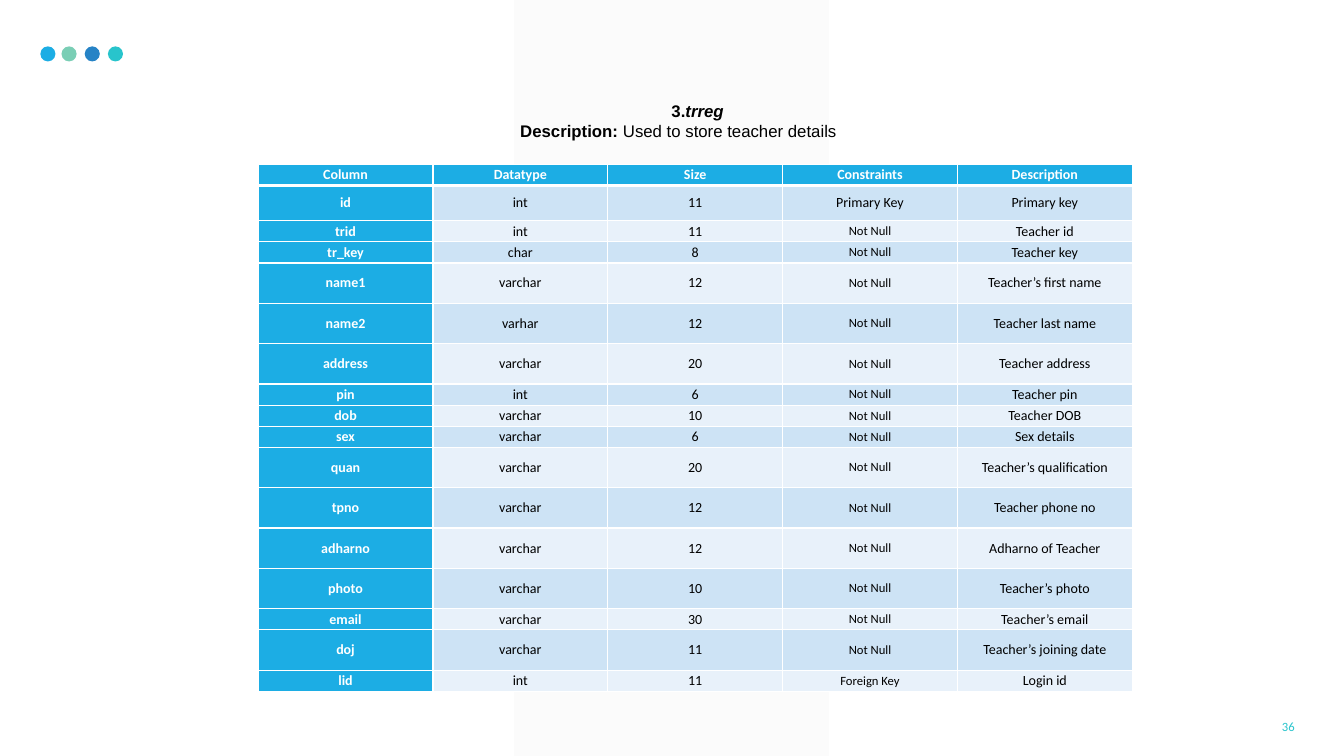
from lxml.etree import SubElement
from pptx import Presentation
from pptx.dml.color import RGBColor
from pptx.enum.shapes import MSO_SHAPE
from pptx.enum.text import MSO_ANCHOR, MSO_AUTO_SIZE, PP_ALIGN
from pptx.oxml.ns import qn
from pptx.util import Inches, Pt

BLUE, TEAL, WHITE, BLACK = "1CADE4", "28C4CC", "FFFFFF", "000000"
BANDS = ("CDE3F5", "E8F1FA")
DOTS = [(0.4, BLUE, 100), (0.61, "42BA97", 70), (0.84, "2683C6", 100), (1.07, TEAL, 100)]
SHORT, MEDIUM, TALL = 0.21, 0.35, 0.4
HEADER = ("Column", "Datatype", "Size", "Constraints", "Description")
FIELDS = [
    (MEDIUM, "id", "int", "11", "Primary Key", "Primary key"),
    (SHORT, "trid", "int", "11", "Not Null", "Teacher id"),
    (SHORT, "tr_key", "char", "8", "Not Null", "Teacher key"),
    (TALL, "name1", "varchar", "12", "Not Null", "Teacher’s first name"),
    (TALL, "name2", "varhar", "12", "Not Null", "Teacher last name"),
    (TALL, "address", "varchar", "20", "Not Null", "Teacher address"),
    (SHORT, "pin", "int", "6", "Not Null", "Teacher pin"),
    (SHORT, "dob", "varchar", "10", "Not Null", "Teacher DOB"),
    (SHORT, "sex", "varchar", "6", "Not Null", "Sex details"),
    (TALL, "quan", "varchar", "20", "Not Null", "Teacher’s qualification"),
    (TALL, "tpno", "varchar", "12", "Not Null", "Teacher phone no"),
    (TALL, "adharno", "varchar", "12", "Not Null", "Adharno of Teacher"),
    (TALL, "photo", "varchar", "10", "Not Null", "Teacher’s photo"),
    (SHORT, "email", "varchar", "30", "Not Null", "Teacher’s email"),
    (TALL, "doj", "varchar", "11", "Not Null", "Teacher’s joining date"),
    (SHORT, "lid", "int", "11", "Foreign Key", "Login id"),
]


def rgb(color):
    return RGBColor.from_string(color)


def box(left, top, width, height):
    return [Inches(length) for length in (left, top, width, height)]


def set_font(font, name, size, color, bold=False):
    font.name, font.size, font.bold = name, Pt(size), bold
    font.color.rgb = rgb(color)


def add_filled_shape(shapes, preset, position, color, opacity=100):
    shape = shapes.add_shape(preset, *box(*position))
    shape.shadow.inherit = False
    shape.line.fill.background()
    shape.fill.solid()
    shape.fill.fore_color.rgb = rgb(color)
    if opacity < 100:
        srgb = shape.element.spPr.find(".//" + qn("a:srgbClr"))
        SubElement(srgb, qn("a:alpha"), val=str(opacity * 1000))
    return shape


def add_background_band(slide):
    band = add_filled_shape(slide.shapes, MSO_SHAPE.RECTANGLE, (5.1, 0, 3.12, 7.5), "F2F2F2", 30)
    slide.shapes.element.insert(2, band.element)  # behind the title


def add_dots(slide):
    dots = slide.shapes.add_group_shape()
    for left, color, opacity in DOTS:
        add_filled_shape(dots.shapes, MSO_SHAPE.OVAL, (left, 0.46, 0.15, 0.15), color, opacity)


def add_page_number(slide, number):
    frame = slide.shapes.add_textbox(*box(9.94, 7.07, 3, 0.27)).text_frame
    frame.word_wrap = True
    frame.vertical_anchor = MSO_ANCHOR.MIDDLE
    paragraph = frame.paragraphs[0]
    paragraph.text = number
    paragraph.alignment = PP_ALIGN.RIGHT
    set_font(paragraph.font, "Calibri", 9, TEAL)


def fill_title(title):
    title.left, title.top, title.width, title.height = box(4.56, 0.95, 8.77, 0.51)
    frame = title.text_frame
    frame.auto_size = MSO_AUTO_SIZE.NONE
    frame.word_wrap = True
    frame.vertical_anchor = MSO_ANCHOR.TOP
    lines = [
        (2, [("3.", True, False), ("trreg", True, True)]),
        (0.5, [("Description: ", True, False), ("Used to store teacher details", False, False)]),
    ]
    for index, (indent, runs) in enumerate(lines):
        paragraph = frame.add_paragraph() if index else frame.paragraphs[0]
        paragraph.alignment = PP_ALIGN.LEFT
        properties = paragraph._p.get_or_add_pPr()
        properties.set("marL", "0")
        properties.set("indent", str(Inches(indent)))
        for text, bold, italic in runs:
            run = paragraph.add_run()
            run.text = text
            set_font(run.font, "Arial", 12, BLACK, bold)
            run.font.italic = italic


def set_borders(cell, top, bottom):
    properties = cell._tc.get_or_add_tcPr()
    for side, width in (("L", 1), ("R", 1), ("T", top), ("B", bottom)):
        line = SubElement(properties, qn(f"a:ln{side}"), w=str(Pt(width)))
        fill = SubElement(line, qn("a:solidFill"))
        SubElement(fill, qn("a:srgbClr"), val=WHITE)


def fill_cell(cell, text, row, column):
    heading = row == 0 or column == 0
    set_borders(cell, top=3 if row == 1 else 1, bottom=3 if row == 0 else 1)
    cell.fill.solid()
    cell.fill.fore_color.rgb = rgb(BLUE if heading else BANDS[(row - 1) % 2])
    cell.margin_left = cell.margin_right = Inches(0.06)
    cell.margin_top = cell.margin_bottom = 0
    cell.vertical_anchor = MSO_ANCHOR.MIDDLE
    paragraph = cell.text_frame.paragraphs[0]
    paragraph.text = text
    paragraph.alignment = PP_ALIGN.CENTER
    size = 9 if column == 3 and row > 1 else 10
    set_font(paragraph.font, "Calibri", size, WHITE if heading else BLACK, heading)


def add_field_table(slide):
    rows = [(SHORT, *HEADER), *FIELDS]
    position = box(2.56, 1.63, 8.67, sum(row[0] for row in rows))
    table = slide.shapes.add_table(len(rows), len(HEADER), *position).table
    table.horz_banding = False
    table.first_col = True
    for row, (height, *texts) in enumerate(rows):
        table.rows[row].height = Inches(height)
        for column, text in enumerate(texts):
            fill_cell(table.cell(row, column), text, row, column)


def main():
    presentation = Presentation()
    presentation.slide_width, presentation.slide_height = Inches(13.33), Inches(7.5)
    slide = presentation.slides.add_slide(presentation.slide_layouts[5])
    add_background_band(slide)
    add_page_number(slide, "36")
    add_dots(slide)
    add_field_table(slide)
    fill_title(slide.shapes.title)
    presentation.save("out.pptx")


if __name__ == "__main__":
    main()
